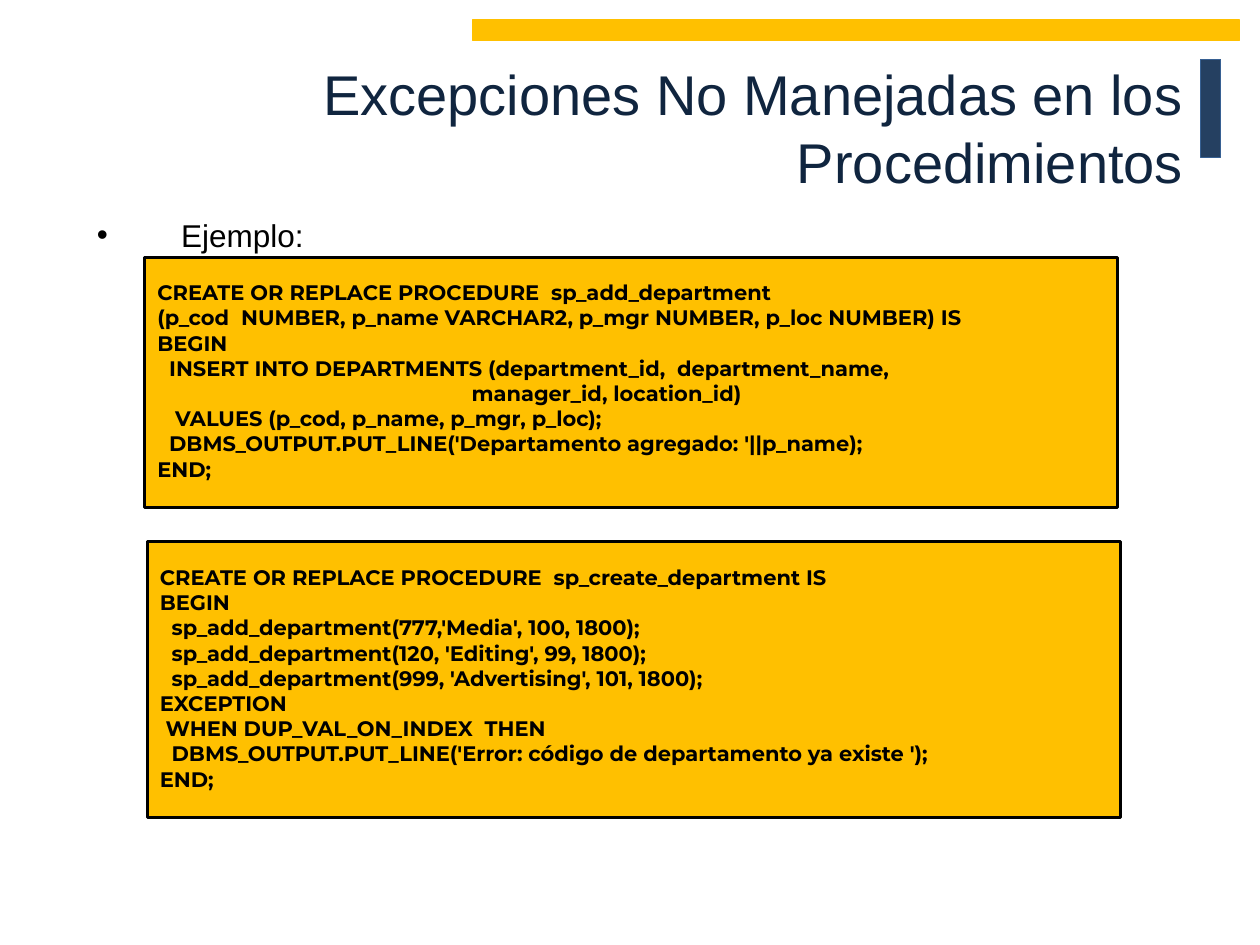
from pptx import Presentation
from pptx.dml.color import RGBColor
from pptx.enum.shapes import MSO_SHAPE
from pptx.enum.text import MSO_ANCHOR, PP_ALIGN
from pptx.util import Inches, Pt
from lxml.etree import SubElement
from pptx.oxml.ns import qn

# Grid of 100 columns by 75 rows
COLS, ROWS = 100, 75
WIDE, HIGH = Inches(10), Inches(7.5)

ADD = """CREATE OR REPLACE PROCEDURE  sp_add_department
(p_cod  NUMBER, p_name VARCHAR2, p_mgr NUMBER, p_loc NUMBER) IS
BEGIN
  INSERT INTO DEPARTMENTS (department_id,  department_name,
                                                     manager_id, location_id)
   VALUES (p_cod, p_name, p_mgr, p_loc);
  DBMS_OUTPUT.PUT_LINE('Departamento agregado: '||p_name);
END;"""

CREATE = """CREATE OR REPLACE PROCEDURE  sp_create_department IS
BEGIN
  sp_add_department(777,'Media', 100, 1800);
  sp_add_department(120, 'Editing', 99, 1800);
  sp_add_department(999, 'Advertising', 101, 1800);
EXCEPTION
 WHEN DUP_VAL_ON_INDEX  THEN
  DBMS_OUTPUT.PUT_LINE('Error: código de departamento ya existe ');
END;"""

TITLE = {"name": "Arial", "size": Pt(32)}
POINT = {"name": "Arial", "size": Pt(18)}
CODE = {"name": "Montserrat", "size": Pt(12), "bold": True}


def col(n):
    return round(WIDE * n / COLS)


def row(n):
    return round(HIGH * n / ROWS)


def place(box):
    x, y, w, h = box
    return col(x), row(y), col(w), row(h)


def paint(part, tone):
    part.rgb = RGBColor.from_string(tone)


def style(font, form, tone):
    for key, value in form.items():
        setattr(font, key, value)
    paint(font.color, tone)


def panel(slide, box, fill, edge, width):
    shape = slide.shapes.add_shape(MSO_SHAPE.RECTANGLE, *place(box))
    shape.shadow.inherit = False
    shape.fill.solid()
    paint(shape.fill.fore_color, fill)
    paint(shape.line.color, edge)
    shape.line.width = Pt(width)
    return shape


def label(slide, box, text, form, tone):
    frame = slide.shapes.add_textbox(*place(box)).text_frame
    frame.word_wrap = True
    para = frame.paragraphs[0]
    para.text = text
    style(para.runs[0].font, form, tone)
    return frame, para


# Accent bars and right-aligned title
def header(slide, box, text):
    x, y, w, h = box
    panel(slide, (x + w + 0.4, y + 2.6, 1.6, 7.8), "254061", "376092", 0.75)
    panel(slide, (37.5, y - 0.5, 60.9, 1.6), "FFC000", "FFC000", 0.75)
    frame, para = label(slide, box, text, TITLE, "10253F")
    frame.vertical_anchor = MSO_ANCHOR.MIDDLE
    para.alignment = PP_ALIGN.RIGHT


# Bulleted lead-in
def point(slide, box, text):
    _, para = label(slide, box, text, POINT, "000000")
    para.alignment = PP_ALIGN.JUSTIFY
    para.line_spacing = 0.8
    props = para._p.get_or_add_pPr()
    props.set("marL", str(col(6.7)))
    props.set("indent", str(-col(6.7)))
    SubElement(props, qn("a:buFont"), typeface="Arial")
    SubElement(props, qn("a:buChar"), char="•")


# Framed code listing
def listing(slide, box, code):
    frame = panel(slide, box, "FFC000", "000000", 1.75).text_frame
    frame.word_wrap = True
    frame.vertical_anchor = MSO_ANCHOR.TOP
    frame.margin_top = row(1.8)
    for n, line in enumerate(code.split("\n")):
        para = frame.add_paragraph() if n else frame.paragraphs[0]
        para.alignment = PP_ALIGN.LEFT
        run = para.add_run()
        run.text = line
        style(run.font, CODE, "000000")


def main():
    deck = Presentation()
    deck.slide_width, deck.slide_height = WIDE, HIGH
    slide = deck.slides.add_slide(deck.slide_layouts[6])
    header(slide, (9.7, 2.1, 85.2, 16),
           "Excepciones No Manejadas en los Procedimientos")
    point(slide, (6.7, 17.2, 87.4, 4.5), "Ejemplo:")
    listing(slide, (11.5, 20.4, 77.2, 19.9), ADD)
    listing(slide, (11.7, 43, 77.2, 21.9), CREATE)
    deck.save("out.pptx")


if __name__ == "__main__":
    main()
